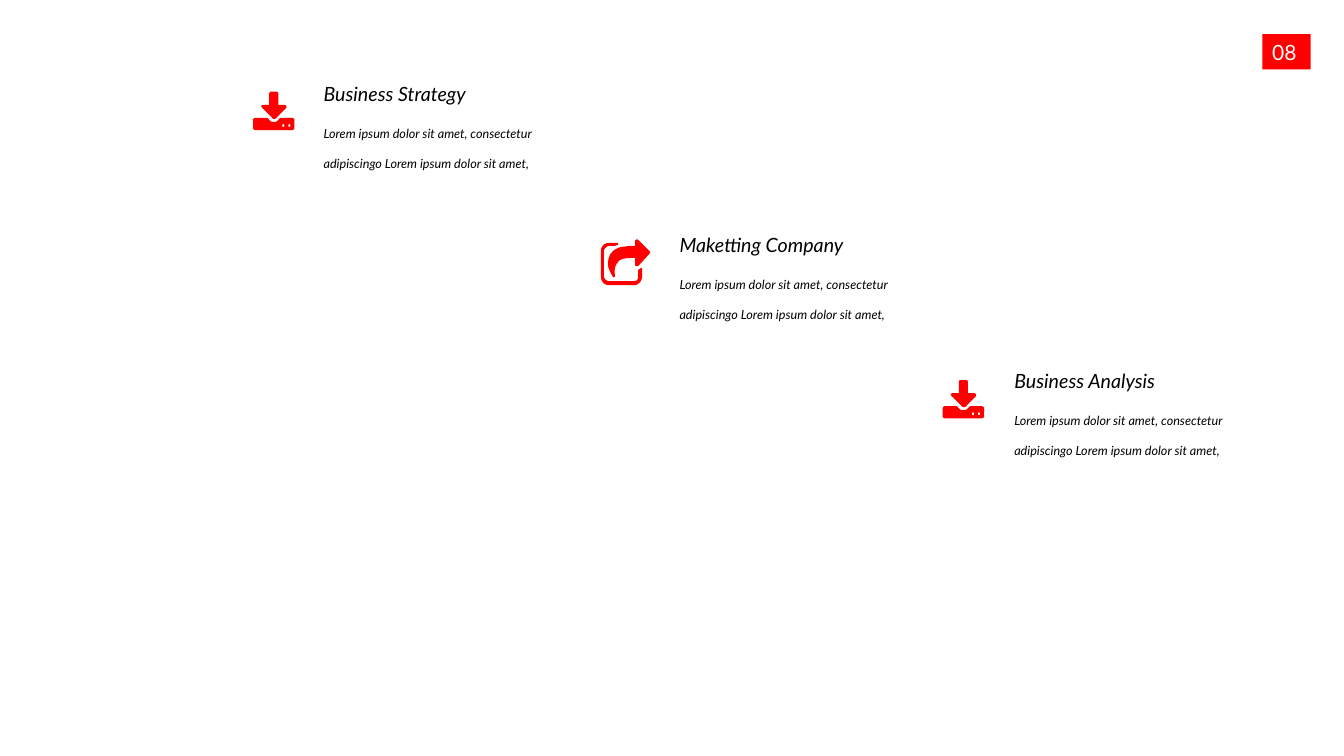
from dataclasses import dataclass

from pptx import Presentation
from pptx.dml.color import RGBColor
from pptx.enum.shapes import MSO_SHAPE as Preset
from pptx.enum.text import MSO_ANCHOR as Anchor, MSO_AUTO_SIZE as Fit, PP_ALIGN as Align
from pptx.shapes.autoshape import Shape
from pptx.slide import Slide
from pptx.util import Emu, Inches, Pt

WIDE, HIGH = Inches(13.33), Inches(7.5)
UNIT = Inches(0.01)  # icon outlines are drawn in this unit
STEPS = 5  # straight pieces per curve

Outline = list[tuple[int, ...]]


@dataclass(frozen=True)
class Theme:
    font: str = "Lato"
    red: RGBColor = RGBColor(255, 0, 0)
    ink: RGBColor = RGBColor(0, 0, 0)
    white: RGBColor = RGBColor(255, 255, 255)
    head: float = 14
    body: float = 9
    page: float = 15


@dataclass(frozen=True)
class Item:
    head: str
    col: float
    row: float
    width: float
    icon: list[Outline]
    left: float  # columns from icon to text
    drop: float  # rows from top of heading to top of icon


THEME = Theme()
BODY = "Lorem ipsum dolor sit amet, consectetur adipiscingo Lorem ipsum dolor sit amet,"


def dot(x: int) -> Outline:
    return [(x, 32), (x - 1, 32, x - 1, 33, x - 1, 34), (x - 1, 34, x - 1, 35, x, 35),
            (x + 1, 35, x + 1, 34, x + 1, 34), (x + 1, 33, x + 1, 32, x, 32)]


# A pair is a corner; six numbers are two control points and the end of a curve.
LOAD: list[Outline] = [
    [(41, 36), (41, 37, 40, 38, 39, 38), (2, 38), (1, 38, 0, 37, 0, 36),
     (0, 28), (0, 27, 1, 26, 2, 26), (14, 26), (17, 29), (18, 30, 20, 30, 20, 30),
     (22, 30, 23, 30, 24, 29), (27, 26), (39, 26), (40, 26, 41, 27, 41, 28)],
    [(33, 16), (22, 27), (22, 27, 21, 27, 20, 27), (9, 16), (8, 15, 8, 14, 8, 14),
     (9, 14, 9, 13, 9, 13), (16, 13), (16, 2), (16, 1, 17, 0, 17, 0), (24, 0),
     (24, 0, 25, 1, 25, 2), (25, 13), (31, 13), (32, 13, 33, 14, 33, 14)],
    dot(30), dot(36),
]
SHARE: list[Outline] = [
    [(41, 37), (41, 42, 37, 46, 33, 46), (8, 46), (3, 46, 0, 42, 0, 37),
     (0, 12), (0, 8, 3, 4, 8, 4), (16, 4), (17, 4, 17, 4, 17, 5),
     (17, 6, 17, 6, 16, 6), (15, 7, 13, 7, 12, 7), (8, 7), (6, 7, 3, 10, 3, 12),
     (3, 37), (3, 40, 6, 42, 8, 42), (33, 42), (36, 42, 37, 40, 37, 37), (37, 31),
     (37, 31, 38, 30, 38, 30), (39, 30, 39, 29, 40, 29), (40, 29, 41, 28, 41, 30)],
    [(37, 27), (35, 27), (34, 27, 34, 26, 34, 25), (34, 19), (29, 19),
     (22, 19, 18, 21, 17, 23), (14, 26, 13, 31, 14, 37), (14, 37, 14, 38, 13, 38),
     (12, 38), (12, 37, 7, 31, 7, 25), (7, 17, 10, 7, 29, 7), (34, 7), (34, 2),
     (34, 2, 34, 1, 35, 1), (36, 0), (36, 0, 36, 1, 37, 1), (48, 12),
     (49, 13, 49, 14, 48, 15)],
]
ITEMS = [
    Item("Business Strategy", 24.08, 10.8, 13.05, LOAD, 5.25, 1.33),
    Item("Maketting Company", 50.56, 30.8, 14.78, SHARE, 5.85, 0.8),
    Item("Business Analysis", 75.47, 48.8, 12.98, LOAD, 5.33, 1.47),
]


def col(n: float) -> Emu:
    """Width of n of the slide's 100 columns."""
    return Emu(round(WIDE * n / 100))


def row(n: float) -> Emu:
    """Height of n of the slide's 100 rows."""
    return Emu(round(HIGH * n / 100))


def write(shape: Shape, text: str, *, size: float, color: RGBColor = THEME.ink,
          italic: bool = False, wrap: bool = False, space: float = 1,
          inset: bool = False) -> None:
    frame = shape.text_frame
    frame.auto_size, frame.word_wrap = Fit.SHAPE_TO_FIT_TEXT, wrap
    frame.vertical_anchor = Anchor.TOP
    if not inset:
        frame.margin_left = frame.margin_right = 0
        frame.margin_top = frame.margin_bottom = 0
    para = frame.paragraphs[0]
    para.alignment, para.line_spacing = Align.LEFT, space
    run = para.add_run()
    run.text = text
    font = run.font
    font.name, font.size, font.italic = THEME.font, Pt(size), italic
    font.color.rgb = color


def paint(shape: Shape, color: RGBColor) -> None:
    shape.shadow.inherit = False
    shape.fill.solid()
    shape.fill.fore_color.rgb = color
    shape.line.fill.background()


def trace(line: Outline) -> list[tuple[float, float]]:
    """Turn corners and cubic curves into points on the slide's scale."""
    spots: list[tuple[float, float]] = [line[0]]
    for part in line[1:]:
        if len(part) == 2:
            spots.append(part)
            continue
        ends = [spots[-1], part[:2], part[2:4], part[4:]]
        for step in range(1, STEPS + 1):
            t = step / STEPS
            pull = ((1 - t) ** 3, 3 * t * (1 - t) ** 2, 3 * t * t * (1 - t), t ** 3)
            spots.append(tuple(sum(k * p[axis] for k, p in zip(pull, ends))
                               for axis in (0, 1)))
    return [(x * UNIT, y * UNIT) for x, y in spots]


def draw(slide: Slide, icon: list[Outline], x: Emu, y: Emu) -> None:
    first, *rest = map(trace, icon)
    pen = slide.shapes.build_freeform(*first[0])
    pen.add_line_segments(first[1:], close=True)
    for line in rest:
        pen.move_to(*line[0])
        pen.add_line_segments(line[1:], close=True)
    paint(pen.convert_to_shape(x, y), THEME.red)


def place(slide: Slide, item: Item) -> None:
    add = slide.shapes.add_textbox
    head = add(col(item.col), row(item.row), col(item.width), row(3.2))
    write(head, item.head, size=THEME.head, italic=True)
    body = add(col(item.col), row(item.row + 3.8), col(19.5), row(8.13))
    write(body, BODY, size=THEME.body, italic=True, wrap=True, space=2.0)
    draw(slide, item.icon, col(item.col - item.left), row(item.row + item.drop))


def main() -> None:
    deck = Presentation()
    deck.slide_width, deck.slide_height = WIDE, HIGH
    slide = deck.slides.add_slide(deck.slide_layouts[6])
    for item in ITEMS:
        place(slide, item)
    badge = slide.shapes.add_shape(Preset.RECTANGLE, col(93.92), row(4.53),
                                   col(3.6), row(4.67))
    paint(badge, THEME.red)
    write(badge, "08", size=THEME.page, color=THEME.white, inset=True)
    deck.save("out.pptx")


if __name__ == "__main__":
    main()
